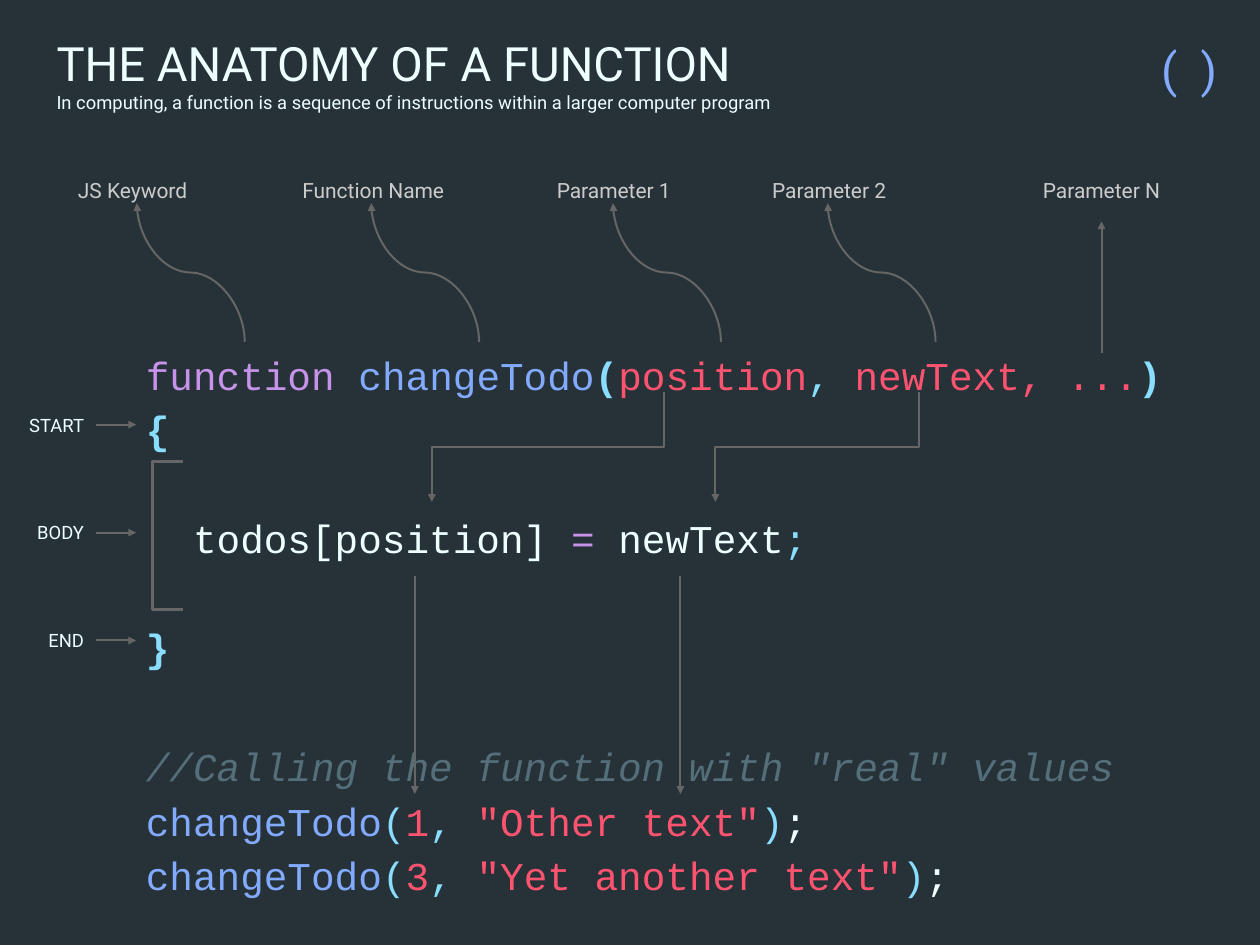
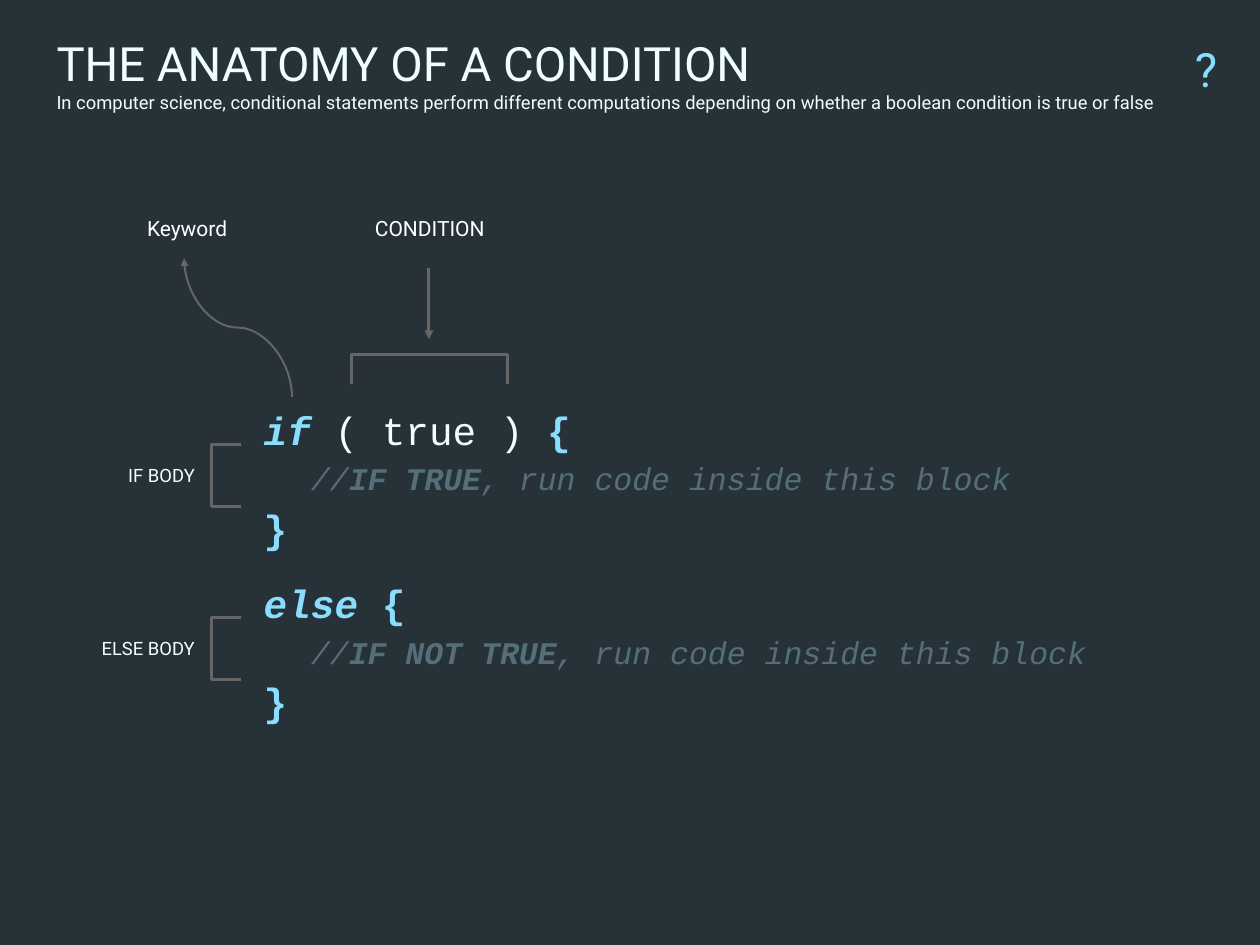
"""Build two slides that explain the anatomy of a function and of a condition."""
from typing import NamedTuple, Optional

import lxml.etree
import pptx
import pptx.dml.color
import pptx.enum.shapes
import pptx.enum.text
import pptx.oxml.ns
import pptx.shapes.autoshape
import pptx.shapes.connector
import pptx.slide
import pptx.util

Cm = pptx.util.Cm
Pt = pptx.util.Pt
RGBColor = pptx.dml.color.RGBColor
Align = pptx.enum.text.PP_ALIGN
Anchor = pptx.enum.text.MSO_ANCHOR
Link = pptx.enum.shapes.MSO_CONNECTOR
qn = pptx.oxml.ns.qn

BACKGROUND = RGBColor(0x26, 0x32, 0x38)
PALE = RGBColor(0xEE, 0xFF, 0xFF)
WHITE = RGBColor(0xFF, 0xFF, 0xFF)
SILVER = RGBColor(0xCC, 0xCC, 0xCC)
GREY = RGBColor(0x66, 0x66, 0x66)
PURPLE = RGBColor(0xC7, 0x92, 0xEA)
BLUE = RGBColor(0x82, 0xAA, 0xFF)
CYAN = RGBColor(0x89, 0xDD, 0xFF)
RED = RGBColor(0xFF, 0x53, 0x70)
SLATE = RGBColor(0x54, 0x6E, 0x7A)

CODE_FONT = "Courier New"
LABEL_FONT = "Roboto"
CODE_INSETS = (0.36, 0.18, 0, 0.18)
LABEL_INSETS = (0.25, 0.25, 0.25, 0.25)
SYMBOL_RIGHT = 32.97
ROW_HEIGHT = 1.09
CURVE_SHIFT = (-2.9, -3.73)
BRACKET_ARM = 0.8
CODE_INDENT = 1.27


class Box(NamedTuple):
    """Position and size in centimetres."""
    left: float
    top: float
    width: float
    height: float


class Point(NamedTuple):
    """Place in centimetres."""
    x: float
    y: float


class Run(NamedTuple):
    """Piece of text in one style."""
    text: str
    color: RGBColor
    size: float = 30
    bold: bool = False
    italic: bool = False


class Line(NamedTuple):
    """Paragraph made of runs."""
    runs: list[Run]
    spacing: Optional[float] = 1.15
    before: float = 0
    indent: float = 0


class Label(NamedTuple):
    """Caption with its box and style."""
    text: str
    box: Box
    color: RGBColor = PALE
    size: float = 14
    align: Align = Align.RIGHT


def add_text(slide: pptx.slide.Slide, box: Box, lines: list[Line], font: str,
             insets: tuple, anchor: Anchor, align: Align) -> pptx.shapes.autoshape.Shape:
    """Add a wrapped text box run by run."""
    textbox = slide.shapes.add_textbox(*map(Cm, box))
    frame = textbox.text_frame
    frame.word_wrap = True
    frame.vertical_anchor = anchor
    frame.margin_left, frame.margin_top, frame.margin_right, frame.margin_bottom = map(Cm, insets)
    for index, line in enumerate(lines):
        paragraph = frame.add_paragraph() if index else frame.paragraphs[0]
        paragraph.alignment = align
        paragraph.line_spacing = line.spacing
        paragraph.space_before = Pt(line.before)
        if line.indent:
            paragraph._p.get_or_add_pPr().set("indent", str(Cm(line.indent)))
        for piece in line.runs:
            run = paragraph.add_run()
            run.text = piece.text
            run.font.name = font
            run.font.size = Pt(piece.size)
            run.font.bold = piece.bold
            run.font.italic = piece.italic
            run.font.color.rgb = piece.color
    return textbox


def add_code(slide: pptx.slide.Slide, box: Box, lines: list[Line]) -> None:
    """Add a listing of code."""
    add_text(slide, box, lines, CODE_FONT, CODE_INSETS, Anchor.TOP, Align.LEFT)


def add_label(slide: pptx.slide.Slide, label: Label) -> pptx.shapes.autoshape.Shape:
    """Add a one-line caption."""
    caption = Line([Run(label.text, label.color, label.size)], None)
    return add_text(slide, label.box, [caption], LABEL_FONT, LABEL_INSETS,
                    Anchor.MIDDLE, label.align)


def add_arrow(slide: pptx.slide.Slide, start: Point, end: Point, width: float = 1.5,
              kind: Link = Link.STRAIGHT) -> pptx.shapes.connector.Connector:
    """Add a connector with a triangle at its end."""
    arrow = slide.shapes.add_connector(kind, *map(Cm, (*start, *end)))
    arrow.line.color.rgb = GREY
    arrow.line.width = Pt(width)
    lxml.etree.SubElement(arrow.line._get_or_add_ln(), qn("a:tailEnd"), type="triangle")
    lxml.etree.SubElement(arrow._element.spPr, qn("a:effectLst"))
    return arrow


def add_turned_arrow(slide: pptx.slide.Slide, start: Point, end: Point, kind: Link) -> None:
    """Add a curved or bent arrow that leaves and arrives vertically."""
    middle = Point((start.x + end.x) / 2, (start.y + end.y) / 2)
    half_run, half_shift = (end.y - start.y) / 2, (start.x - end.x) / 2
    arrow = add_arrow(slide, Point(middle.x - half_run, middle.y - half_shift),
                      Point(middle.x + half_run, middle.y + half_shift), kind=kind)
    arrow._element.spPr.find(qn("a:xfrm")).set("rot", "5400000")


def add_curve(slide: pptx.slide.Slide, start: Point) -> None:
    """Add a curved arrow from a word of code up to its caption."""
    end = Point(start.x + CURVE_SHIFT[0], start.y + CURVE_SHIFT[1])
    add_turned_arrow(slide, start, end, Link.CURVE)


def add_bracket(slide: pptx.slide.Slide, corners: list[Point]) -> None:
    """Add an open bracket through its corners."""
    first, *others = [tuple(map(Cm, corner)) for corner in corners]
    builder = slide.shapes.build_freeform(*first, scale=1.0)
    builder.add_line_segments(others, close=False)
    bracket = builder.convert_to_shape()
    bracket.shadow.inherit = False
    bracket.fill.background()
    bracket.line.color.rgb = GREY
    bracket.line.width = Pt(2.25)


def add_side_bracket(slide: pptx.slide.Slide, left: float, top: float, height: float) -> None:
    """Add a bracket that opens to the right."""
    tip, bottom = left + BRACKET_ARM, top + height
    add_bracket(slide, [Point(tip, bottom), Point(left, bottom), Point(left, top), Point(tip, top)])


def add_page(deck: pptx.Presentation, title: str, summary: str, symbol: str,
             symbol_color: RGBColor, symbol_width: float) -> pptx.slide.Slide:
    """Add a slide with background, heading and corner symbol."""
    slide = deck.slides.add_slide(deck.slide_layouts[6])
    slide.background.fill.solid()
    slide.background.fill.fore_color.rgb = BACKGROUND
    heading = [Line([Run(title, PALE, 36)], None), Line([Run(summary, PALE, 14)], None)]
    add_text(slide, Box(1.27, 0.89, 31.12, 2.18), heading, LABEL_FONT, LABEL_INSETS,
             Anchor.MIDDLE, Align.LEFT)
    symbol_box = Box(SYMBOL_RIGHT - symbol_width, 0.89, symbol_width, 1.9)
    add_label(slide, Label(symbol, symbol_box, symbol_color, 36))
    return slide


def call_line(position: str, text: str) -> Line:
    """Return a line that calls the function."""
    return Line([Run("changeTodo", BLUE), Run("(", CYAN), Run(position, RED), Run(", ", CYAN),
                 Run(text, RED), Run(")", CYAN), Run(";", PALE)])


def branch_lines(opening: list[Run], case: str, before: float = 0) -> list[Line]:
    """Return one branch of the condition."""
    comment = [Run("//", SLATE, 24, italic=True), Run(case, SLATE, 24, True, True),
               Run(", run code inside this block", SLATE, 24, italic=True)]
    return [Line([*opening, Run("{", CYAN, bold=True)], before=before),
            Line(comment, indent=CODE_INDENT),
            Line([Run("}", CYAN, bold=True)])]


def build_function(deck: pptx.Presentation) -> None:
    """Build the slide about functions."""
    slide = add_page(
        deck, "THE ANATOMY OF A FUNCTION",
        "In computing, a function is a sequence of instructions within a larger computer program",
        "(  )", BLUE, 2.46)
    gap = 41.4
    add_code(slide, Box(3.56, 9.07, 28.32, 15.06), [
        Line([Run("function ", PURPLE), Run("changeTodo", BLUE), Run("(", CYAN, bold=True),
              Run("position", RED), Run(", ", CYAN), Run("newText, ...", RED),
              Run(")", CYAN, bold=True)]),
        Line([Run("{", CYAN, bold=True)]),
        Line([Run("todos[position] ", PALE), Run("=", PURPLE), Run(" newText", PALE),
              Run(";", CYAN)], before=gap, indent=CODE_INDENT),
        Line([Run("}", CYAN, bold=True)], before=gap),
        Line([Run('//Calling the function with "real" values', SLATE, italic=True)], 1.38, gap),
        call_line("1", '"Other text"'),
        call_line("3", '"Yet another text"'),
    ])
    parts = [("JS Keyword", 1.47, 4.19), ("Function Name", 7.42, 5.23), ("Parameter 1", 14.25, 4.5),
             ("Parameter 2", 20.04, 4.5), ("Parameter N", 27.36, 4.5)]
    captions = [add_label(slide, Label(text, Box(left, 4.27, width, 1.68), SILVER, 16, Align.CENTER))
                for text, left, width in parts]
    for word_x in (6.58, 12.88, 19.38, 25.15):
        add_curve(slide, Point(word_x, 9.19))
    last_parameter = add_arrow(slide, Point(29.61, 9.5), Point(29.61, 5.95))
    last_parameter.end_connect(captions[-1], 2)

    for parameter_x, use_x in ((24.71, 19.23), (17.86, 11.61)):
        add_turned_arrow(slide, Point(parameter_x, 10.54), Point(use_x, 13.49), Link.ELBOW)
    for value_x in (11.15, 18.29):
        add_arrow(slide, Point(value_x, 15.49), Point(value_x, 21.34))

    for row, text in enumerate(("START", "BODY", "END")):
        top = 10.87 + 2.9 * row
        middle = top + ROW_HEIGHT / 2
        add_label(slide, Label(text, Box(0.38, top, 2.13, ROW_HEIGHT)))
        add_arrow(slide, Point(2.59, middle), Point(3.66, middle))
    add_side_bracket(slide, 4.11, 12.4, 3.98)


def build_condition(deck: pptx.Presentation) -> None:
    """Build the slide about conditions."""
    slide = add_page(
        deck, "THE ANATOMY OF A CONDITION",
        "In computer science, conditional statements perform different computations "
        "depending on whether a boolean condition is true or false",
        "?", CYAN, 1.85)
    if_opening = [Run("if", CYAN, bold=True, italic=True), Run(" ( true ) ", PALE)]
    else_opening = [Run("else ", CYAN, bold=True, italic=True)]
    add_code(slide, Box(6.73, 10.54, 24.84, 10.01),
             branch_lines(if_opening, "IF TRUE")
             + branch_lines(else_opening, "IF NOT TRUE", before=16.5))

    for text, left, width in (("Keyword", 3.2, 3.66), ("CONDITION", 9.8, 3.51)):
        add_label(slide, Label(text, Box(left, 5.74, width, 0.81), WHITE, 16, Align.CENTER))
    add_curve(slide, Point(7.85, 10.67))
    add_arrow(slide, Point(11.53, 7.19), Point(11.53, 9.12), 2.25)
    add_bracket(slide, [Point(9.45, 10.33), Point(9.45, 9.53),
                        Point(13.64, 9.53), Point(13.64, 10.33)])

    for text, left, width, top in (("IF BODY", 2.59, 2.9, 12.24), ("ELSE BODY", 2.34, 3.15, 16.89)):
        add_label(slide, Label(text, Box(left, top, width, ROW_HEIGHT)))
        add_side_bracket(slide, 5.69, top - 0.28, 1.66)


def main() -> None:
    """Build and save the presentation."""
    deck = pptx.Presentation()
    deck.slide_width, deck.slide_height = Cm(33.87), Cm(25.4)
    build_function(deck)
    build_condition(deck)
    deck.save("out.pptx")


if __name__ == "__main__":
    main()
